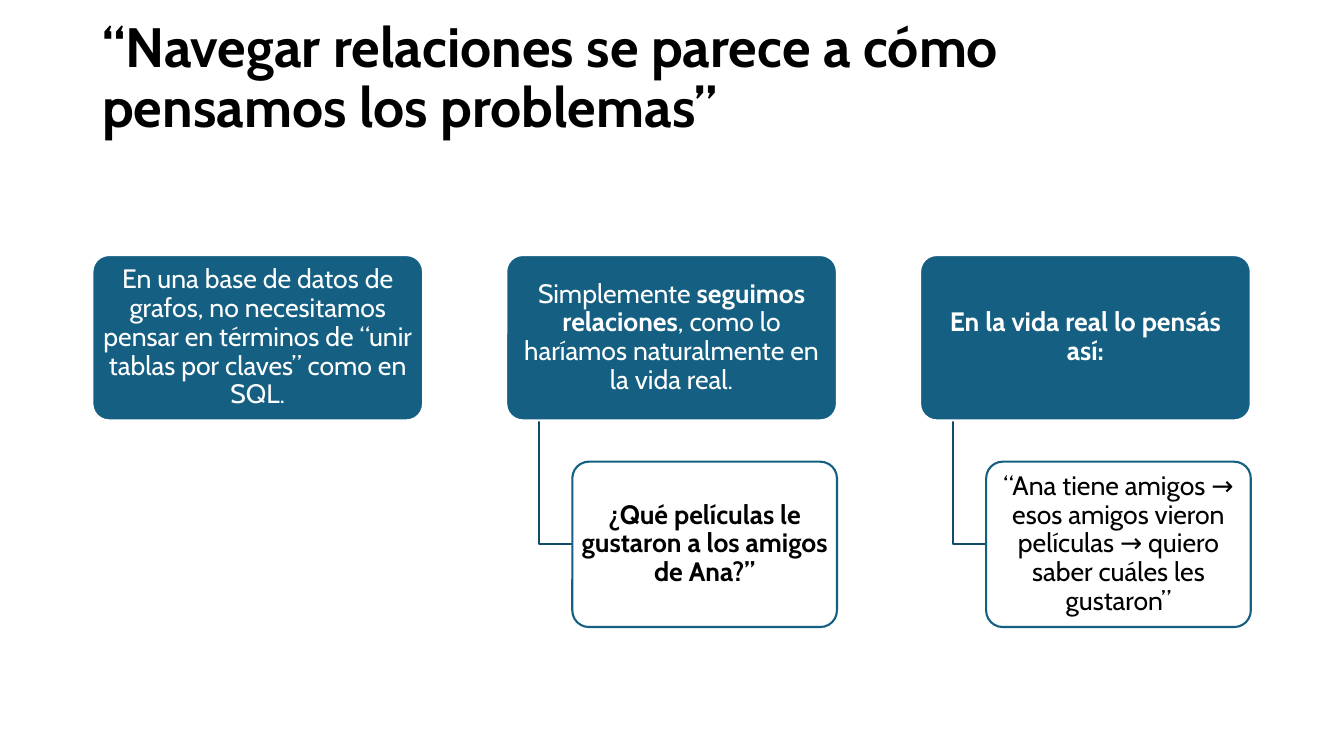
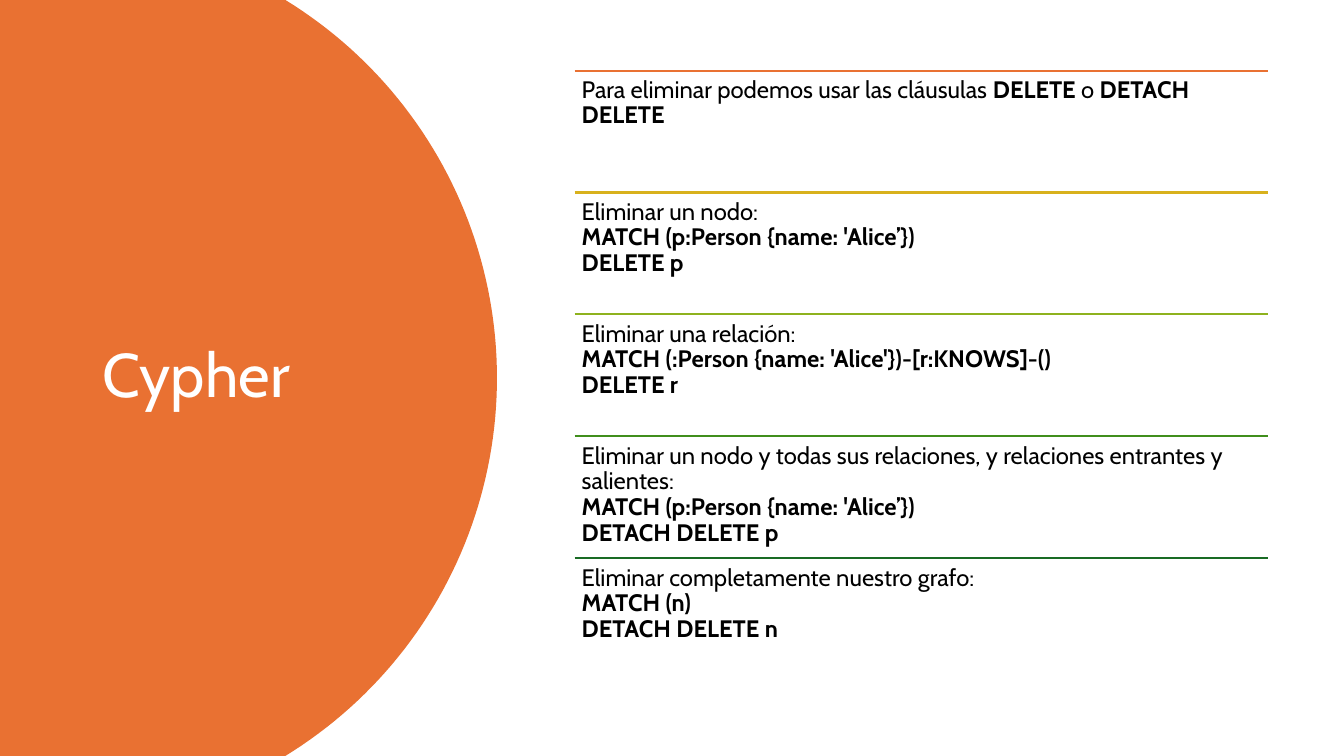
import math

import lxml.etree
import pptx
import pptx.dml.color
import pptx.enum.shapes
import pptx.enum.text
import pptx.oxml.ns
import pptx.util

Pt = pptx.util.Pt
RGBColor = pptx.dml.color.RGBColor
MSO_ANCHOR = pptx.enum.text.MSO_ANCHOR
PP_ALIGN = pptx.enum.text.PP_ALIGN

COLORS = {
    "white": "FFFFFF", "black": "000000", "blue": "156082", "dark blue": "114D68",
    "orange": "E97132", "gold": "D8B11D", "lime": "8EB21E", "green": "408E1C",
    "dark green": "196B24",
}
SLIDE_WIDTH, SLIDE_HEIGHT = 960, 540


def write_text(shape, lines, color, size, margins, anchor, alignment=PP_ALIGN.LEFT):
    """Write one paragraph per line; text between ** marks is bold."""
    frame = shape.text_frame
    horizontal, vertical = margins
    frame_format = {
        "word_wrap": True, "vertical_anchor": anchor,
        "margin_left": Pt(horizontal), "margin_right": Pt(horizontal),
        "margin_top": Pt(vertical), "margin_bottom": Pt(vertical),
    }
    for name, value in frame_format.items():
        setattr(frame, name, value)
    for index, line in enumerate(lines):
        paragraph = frame.add_paragraph() if index else frame.paragraphs[0]
        paragraph.alignment = alignment
        paragraph.line_spacing = 0.9
        for part, text in enumerate(line.split("**")):
            if not text:
                continue
            run = paragraph.add_run()
            run.text = text
            run_format = {"name": "Cabin", "size": Pt(size), "bold": part % 2 == 1}
            for name, value in run_format.items():
                setattr(run.font, name, value)
            run.font.color.rgb = RGBColor.from_string(COLORS[color])


def style_shape(shape, fill=None, line=None):
    shape.shadow.inherit = False
    for target, color in ((shape.fill, fill), (shape.line.fill, line)):
        if color:
            target.solid()
            target.fore_color.rgb = RGBColor.from_string(COLORS[color])
        else:
            target.background()
    if line:
        shape.line.width = Pt(1.5)


presentation = pptx.Presentation()
presentation.slide_width = Pt(SLIDE_WIDTH)
presentation.slide_height = Pt(SLIDE_HEIGHT)
blank_layout = presentation.slide_layouts[6]
TITLE_LEFT = 66
TITLE_MARGINS = (7.2, 3.6)

# Slide 1: three ideas, two of them with an example below
slide = presentation.slides.add_slide(blank_layout)
title = slide.shapes.add_textbox(Pt(TITLE_LEFT), Pt(8), Pt(828), Pt(98))
write_text(title, ["**“Navegar relaciones se parece a cómo pensamos los problemas”**"],
           "black", 39.6, TITLE_MARGINS, MSO_ANCHOR.MIDDLE)

ideas = [
    ("En una base de datos de grafos, no necesitamos pensar en términos de "
     "“unir tablas por claves” como en SQL.", None),
    ("Simplemente **seguimos relaciones**, como lo haríamos naturalmente en la vida real.",
     "**¿Qué películas le gustaron a los amigos de Ana?”**"),
    ("**En la vida real lo pensás así:**",
     "“Ana tiene amigos → esos amigos vieron películas → quiero saber cuáles les gustaron”"),
]
IDEA_TOP, IDEA_WIDTH, BOX_HEIGHT, COLUMN_STEP = 182.2, 236.2, 118.1, 295.6
EXAMPLE_TOP, EXAMPLE_WIDTH = 329.8, 189
BRANCH_INDENT = IDEA_WIDTH / 10

for column, (idea, example) in enumerate(ideas):
    left = TITLE_LEFT + column * COLUMN_STEP
    boxes = [(idea, left, IDEA_TOP, IDEA_WIDTH, "blue", "white", "white")]
    if example:
        branch_left = left + BRANCH_INDENT
        example_left = branch_left + BRANCH_INDENT
        branch_bottom = EXAMPLE_TOP + BOX_HEIGHT / 2
        builder = slide.shapes.build_freeform(Pt(branch_left), Pt(IDEA_TOP + BOX_HEIGHT))
        builder.add_line_segments(
            [(Pt(branch_left), Pt(branch_bottom)), (Pt(example_left), Pt(branch_bottom))],
            close=False)
        style_shape(builder.convert_to_shape(), line="dark blue")
        boxes.append((example, example_left, EXAMPLE_TOP, EXAMPLE_WIDTH,
                      "white", "blue", "black"))
    for text, box_left, top, width, fill, line, text_color in boxes:
        box = slide.shapes.add_shape(pptx.enum.shapes.MSO_SHAPE.ROUNDED_RECTANGLE,
                                     Pt(box_left), Pt(top), Pt(width), Pt(BOX_HEIGHT))
        box.adjustments[0] = 0.1
        style_shape(box, fill, line)
        write_text(box, [text], text_color, 19, (2.9, 1.9), MSO_ANCHOR.MIDDLE, PP_ALIGN.CENTER)

# Slide 2: round panel with the title, and the list of clauses
slide = presentation.slides.add_slide(blank_layout)
PANEL_CENTER, PANEL_RADIUS, ARC_STEPS = 38.3, 316.7, 90
half_height = SLIDE_HEIGHT / 2
half_angle = math.asin(half_height / PANEL_RADIUS)
arc = []
for step in range(ARC_STEPS + 1):
    angle = half_angle * (2 * step / ARC_STEPS - 1)
    arc.append((Pt(PANEL_CENTER + PANEL_RADIUS * math.cos(angle)),
                Pt(half_height + PANEL_RADIUS * math.sin(angle))))
builder = slide.shapes.build_freeform(0, 0)
builder.add_line_segments(arc + [(0, Pt(SLIDE_HEIGHT))], close=True)
style_shape(builder.convert_to_shape(), fill="orange")

title = slide.shapes.add_textbox(Pt(TITLE_LEFT), Pt(50.4), Pt(232.6), Pt(438.5))
write_text(title, ["Cypher"], "white", 44, TITLE_MARGINS, MSO_ANCHOR.MIDDLE)

clauses = [
    ("orange", ["Para eliminar podemos usar las cláusulas **DELETE** o **DETACH DELETE**"]),
    ("gold", ["Eliminar un nodo:", "**MATCH (p:Person {name: 'Alice’})**", "**DELETE p**"]),
    ("lime", ["Eliminar una relación:", "**MATCH (:Person {name: 'Alice'})-[r:KNOWS]-()**",
              "**DELETE r**"]),
    ("green", ["Eliminar un nodo y todas sus relaciones, y relaciones entrantes y salientes:",
               "**MATCH (p:Person {name: 'Alice’})**", "**DETACH DELETE p**"]),
    ("dark green", ["Eliminar completamente nuestro grafo:", "**MATCH (n)**",
                    "**DETACH DELETE n**"]),
]
LIST_LEFT, LIST_TOP, LIST_WIDTH, ROW_HEIGHT = 410.4, 50.4, 495.4, 87.1

for row, (color, lines) in enumerate(clauses):
    top = LIST_TOP + row * ROW_HEIGHT
    rule = slide.shapes.add_connector(pptx.enum.shapes.MSO_CONNECTOR.STRAIGHT, Pt(LIST_LEFT),
                                      Pt(top), Pt(LIST_LEFT + LIST_WIDTH), Pt(top))
    rule.line.color.rgb = RGBColor.from_string(COLORS[color])
    rule.line.width = Pt(1.5)
    lxml.etree.SubElement(rule._element.spPr, pptx.oxml.ns.qn("a:effectLst"))
    clause = slide.shapes.add_textbox(Pt(LIST_LEFT), Pt(top), Pt(LIST_WIDTH), Pt(ROW_HEIGHT))
    write_text(clause, lines, "black", 17, (5.1, 5.1), MSO_ANCHOR.TOP)

presentation.save("out.pptx")
